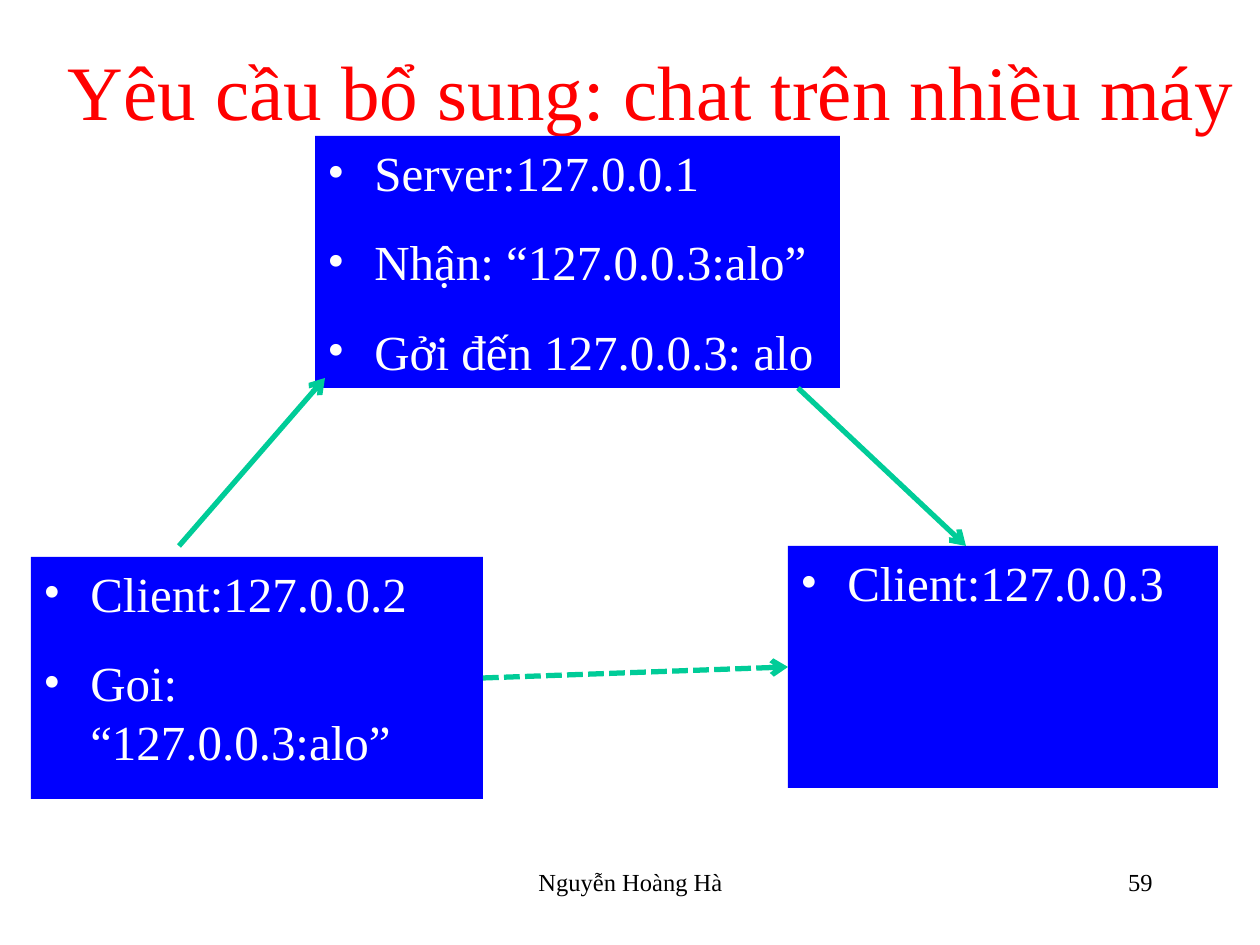
from dataclasses import dataclass

from lxml.etree import SubElement
from pptx import Presentation
from pptx.dml.color import RGBColor
from pptx.enum.dml import MSO_LINE
from pptx.enum.shapes import MSO_CONNECTOR as CONNECTOR, MSO_SHAPE as SHAPE
from pptx.enum.text import MSO_ANCHOR as ANCHOR, PP_ALIGN as ALIGN
from pptx.oxml.ns import qn
from pptx.util import Emu, Pt

EMU_PER_PX = 914400 / 126
TITLE_ONLY = 5
RIGHT, LEFT = 3, 1  # connection sites of a rectangle


@dataclass(frozen=True)
class Theme:
    font: str = "Times New Roman"
    title: str = "FF0000"
    box: str = "0000FF"
    box_text: str = "FFFFFF"
    arrow: str = "00CC98"
    footer: str = "000000"
    title_size: int = 44
    box_size: int = 28
    footer_size: int = 14
    arrow_width: int = 3
    bullet_gap: float = 17.5


THEME = Theme()


def px(*lengths):
    return [Emu(round(length * EMU_PER_PX)) for length in lengths]


def add_run(paragraph, text, size, color):
    run = paragraph.add_run()
    run.text = text
    run.font.name = THEME.font
    run.font.size = Pt(size)
    run.font.color.rgb = RGBColor.from_string(color)


def add_title(slide, text, bounds):
    title = slide.shapes.title
    title.left, title.top, title.width, title.height = px(*bounds)
    frame = title.text_frame
    frame.word_wrap = True
    frame.vertical_anchor = ANCHOR.MIDDLE
    paragraph = frame.paragraphs[0]
    paragraph.alignment = ALIGN.CENTER
    add_run(paragraph, text, THEME.title_size, THEME.title)


def add_bullet(paragraph):
    properties = paragraph._p.get_or_add_pPr()
    indent = px(47)[0]
    properties.set("marL", str(indent))
    properties.set("indent", str(-indent))
    color = SubElement(properties, qn("a:buClr"))
    SubElement(color, qn("a:srgbClr"), val=THEME.box_text)
    SubElement(properties, qn("a:buFont"), typeface=THEME.font)
    SubElement(properties, qn("a:buChar"), char="•")


def add_machine(slide, bounds, lines):
    shape = slide.shapes.add_shape(SHAPE.RECTANGLE, *px(*bounds))
    shape.shadow.inherit = False
    shape.fill.solid()
    shape.fill.fore_color.rgb = RGBColor.from_string(THEME.box)
    shape.line.fill.background()
    frame = shape.text_frame
    frame.word_wrap = True
    frame.vertical_anchor = ANCHOR.TOP
    for number, line in enumerate(lines):
        paragraph = frame.add_paragraph() if number else frame.paragraphs[0]
        paragraph.alignment = ALIGN.LEFT
        paragraph.space_before = Pt(THEME.bullet_gap)
        add_bullet(paragraph)
        add_run(paragraph, line, THEME.box_size, THEME.box_text)
    return shape


def add_arrow(slide, start, end, dash=None):
    connector = slide.shapes.add_connector(
        CONNECTOR.STRAIGHT, *px(*start, *end))
    line = connector.line
    line.color.rgb = RGBColor.from_string(THEME.arrow)
    line.width = Pt(THEME.arrow_width)
    if dash:
        line.dash_style = dash
    SubElement(line._get_or_add_ln(), qn("a:tailEnd"), type="arrow")
    SubElement(connector._element.spPr, qn("a:effectLst"))
    return connector


def add_footer(slide, bounds, text, alignment):
    frame = slide.shapes.add_textbox(*px(*bounds)).text_frame
    frame.word_wrap = True
    paragraph = frame.paragraphs[0]
    paragraph.alignment = alignment
    add_run(paragraph, text, THEME.footer_size, THEME.footer)


def main():
    presentation = Presentation()
    presentation.slide_width, presentation.slide_height = px(1260, 945)
    slide = presentation.slides.add_slide(
        presentation.slide_layouts[TITLE_ONLY])
    add_title(slide, "Yêu cầu bổ sung: chat trên nhiều máy",
              (42, 32, 1218, 116))

    # Machines
    sender = add_machine(slide, (31, 557, 452, 242),
                         ["Client:127.0.0.2", "Goi: “127.0.0.3:alo”"])
    receiver = add_machine(slide, (788, 546, 430, 242), ["Client:127.0.0.3"])
    add_machine(slide, (315, 136, 525, 252),
                ["Server:127.0.0.1", "Nhận: “127.0.0.3:alo”",
                 "Gởi đến 127.0.0.3: alo"])

    # Message path: apparent link dashed, real route through the server
    link = add_arrow(slide, (483, 678), (788, 667), MSO_LINE.SQUARE_DOT)
    link.begin_connect(sender, RIGHT)
    link.end_connect(receiver, LEFT)
    add_arrow(slide, (179, 546), (325, 378))
    add_arrow(slide, (798, 388), (966, 546))

    # Footer
    add_footer(slide, (903, 861, 262, 63), "59", ALIGN.RIGHT)
    add_footer(slide, (431, 861, 399, 63), "Nguyễn Hoàng Hà", ALIGN.CENTER)
    presentation.save("out.pptx")


if __name__ == "__main__":
    main()
